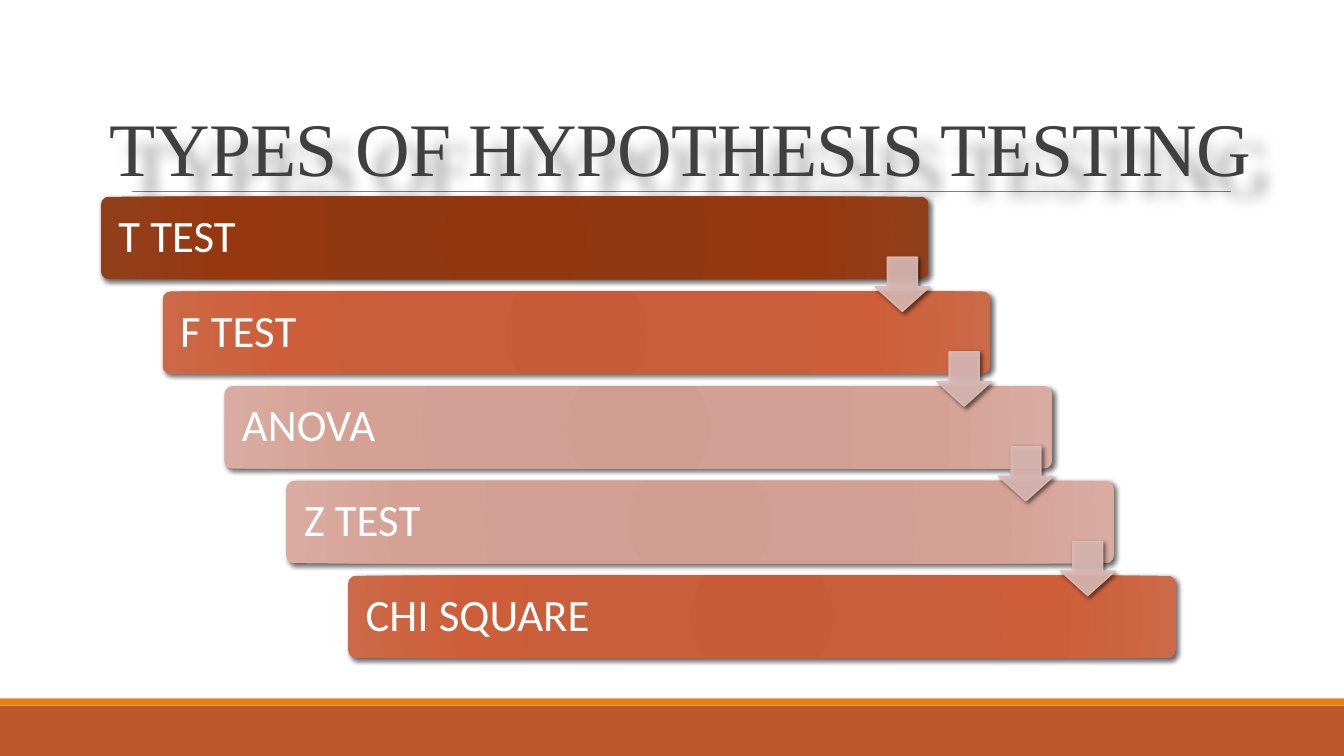
from lxml import etree
from pptx import Presentation
from pptx import util as u
from pptx.dml.color import RGBColor
from pptx.enum import shapes, text
from pptx.oxml.ns import qn

PX = 9144  # 100 px to the inch
RUST = ("C95C38", "C85E3B", "CE5E39", "CC6948")
ROSE = ("D09D91", "D19F94", "D5A195", "DAACA1")
BROWN = ("91370F", "903812", "953810", "913F1B")
TESTS = [("T TEST", BROWN), ("F TEST", RUST), ("ANOVA", ROSE),
         ("Z TEST", ROSE), ("CHI SQUARE", RUST)]
KINDS = shapes.MSO_SHAPE


def px(*nums):
    return [u.Emu(round(n * PX)) for n in nums]


def color(code):
    return RGBColor.from_string(code)


def sub(node, tag, **attrs):
    return etree.SubElement(node, qn(tag), {k: str(v) for k, v in attrs.items()})


def shadow(shape, blur, dist, alpha):
    """Cast a black shadow down and right; blur and dist in points."""
    shape.shadow.inherit = False
    effects = shape._element.spPr.find(qn("a:effectLst"))
    outer = sub(effects, "a:outerShdw", blurRad=u.Pt(blur), dist=u.Pt(dist),
                dir=45 * 60000, algn="tl", rotWithShape=0)
    black = sub(outer, "a:srgbClr", val="000000")
    sub(black, "a:alpha", val=alpha * 1000)


def block(slide, kind, box, fill):
    shape = slide.shapes.add_shape(kind, *px(*box))
    shape.shadow.inherit = False
    shape.fill.solid()
    shape.fill.fore_color.rgb = color(fill)
    shape.line.fill.background()
    return shape


def glow(shape, tones):
    """Replace the solid fill by a radial gradient."""
    props = shape._element.spPr
    grad = etree.Element(qn("a:gradFill"), rotWithShape="1")
    stops = sub(grad, "a:gsLst")
    for pos, tone in zip((0, 34, 70, 100), tones):
        stop = sub(stops, "a:gs", pos=pos * 1000)
        sub(stop, "a:srgbClr", val=tone)
    round_ = sub(grad, "a:path", path="circle")
    sub(round_, "a:fillToRect", **dict.fromkeys("ltrb", 100000))
    props.replace(props.find(qn("a:solidFill")), grad)


def write(shape, words, font, size, tone):
    frame = shape.text_frame
    frame.word_wrap = True
    frame.vertical_anchor = text.MSO_ANCHOR.MIDDLE
    para = frame.paragraphs[0]
    para.text = words
    para.font.name = font
    para.font.size = u.Pt(size)
    para.font.color.rgb = color(tone)
    return frame, para


def title(slide, words):
    box = slide.shapes.add_textbox(*px(54, 50, 1242, 145))
    frame, para = write(box, words, "Times New Roman", 54, "404040")
    frame.vertical_anchor = text.MSO_ANCHOR.BOTTOM
    para.alignment = text.PP_ALIGN.CENTER
    para.line_spacing = 0.85
    para.font._element.set("spc", "-50")
    shadow(box, 10, 18, 40)


def bar(slide, left, top, words, tones):
    shape = block(slide, KINDS.ROUNDED_RECTANGLE, (left, top, 821, 82), tones[0])
    shape.adjustments[0] = 0.1
    glow(shape, tones)
    shadow(shape, 3.5, 2, 60)
    frame, para = write(shape, words, "Calibri", 32, "FFFFFF")
    frame.margin_left = frame.margin_right = px(15)[0]
    frame.margin_top = frame.margin_bottom = px(13)[0]
    para.alignment = text.PP_ALIGN.LEFT
    para.line_spacing = 0.9


def arrow(slide, left, top):
    shape = block(slide, KINDS.DOWN_ARROW, (left, top, 54, 54), "DEBCB6")
    shape.adjustments[0] = 0.55
    shape.adjustments[1] = 0.45
    shape.line.color.rgb = color("DEBCB6")
    shape.line.width = u.Pt(1)
    for tone in shape._element.spPr.iter(qn("a:srgbClr")):
        sub(tone, "a:alpha", val=90000)
    shadow(shape, 3, 2, 60)


def rule(slide, left, right, top):
    line = slide.shapes.add_connector(shapes.MSO_CONNECTOR.STRAIGHT,
                                      *px(left, top, right, top))
    line.line.color.rgb = color("808080")
    line.line.width = u.Pt(0.5)
    sub(line._element.spPr, "a:effectLst")


def main():
    deck = Presentation()
    deck.slide_width, deck.slide_height = u.Inches(13.33), u.Inches(7.5)
    slide = deck.slides.add_slide(deck.slide_layouts[6])

    block(slide, KINDS.RECTANGLE, (0, 700, 1333, 50), "BD582C")
    block(slide, KINDS.RECTANGLE, (0, 693, 1333, 7), "E48312")
    rule(slide, 131, 1221, 190)
    title(slide, "TYPES OF HYPOTHESIS TESTING")

    steps = [(100 + 61.3 * i, 195 + 94 * i) for i in range(len(TESTS))]
    for (left, top), (words, tones) in zip(steps, TESTS):
        bar(slide, left, top, words, tones)
    for left, top in steps[:-1]:
        arrow(slide, left + 768, top + 60)
    deck.save("out.pptx")


if __name__ == "__main__":
    main()
